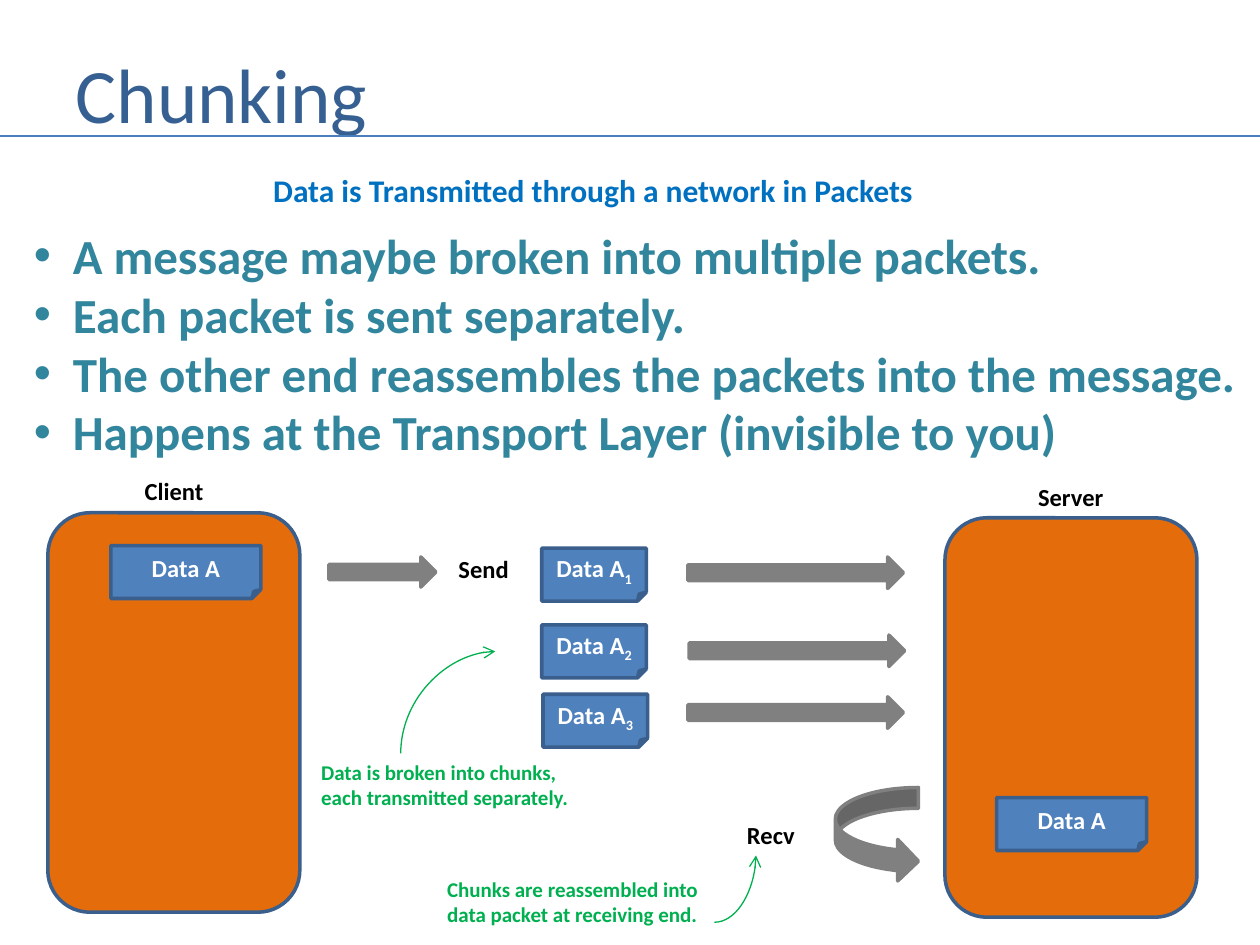
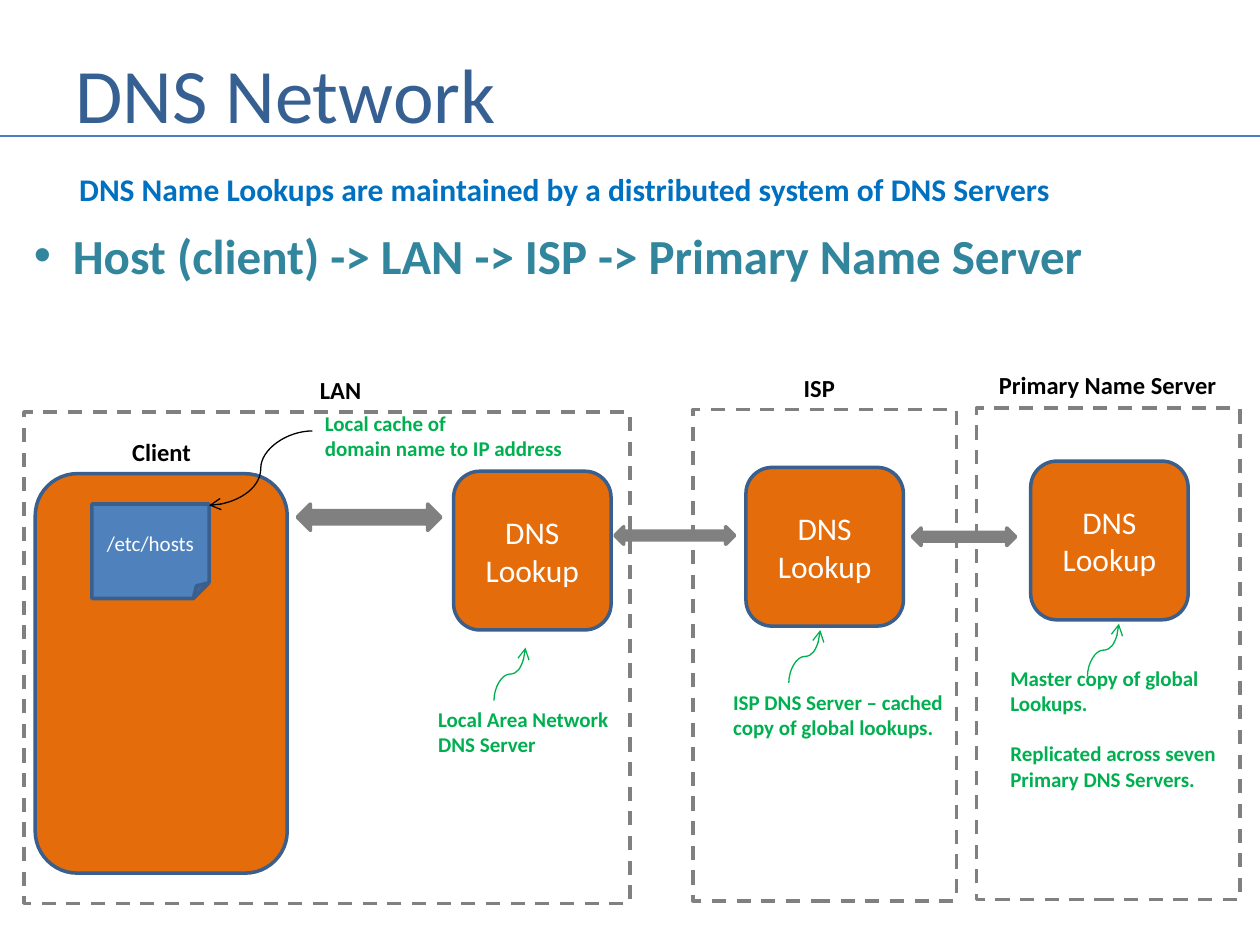
from dataclasses import dataclass
from typing import NamedTuple

import pptx
import pptx.dml.color
import pptx.enum.dml
import pptx.enum.shapes
import pptx.enum.text
import pptx.oxml
import pptx.oxml.ns
import pptx.util
from pptx.presentation import Presentation
from pptx.shapes.autoshape import Shape
from pptx.slide import Slide
from pptx.text.text import TextFrame

SHAPES = pptx.enum.shapes.MSO_SHAPE
CONNECTORS = pptx.enum.shapes.MSO_CONNECTOR
ALIGN = pptx.enum.text.PP_ALIGN
ANCHOR = pptx.enum.text.MSO_ANCHOR

FONT = "Calibri"
TITLE_BLUE, RULE_BLUE, SUBTITLE_BLUE = "376092", "4B7EBC", "0070C0"
TEAL, GREEN, ORANGE = "31859C", "00B050", "E46C0A"
PACKET_BLUE, OUTLINE_BLUE, GRAY = "4F81BD", "3A5F8C", "808080"
BLACK, WHITE = "000000", "FFFFFF"

COLUMNS, ROWS = 100, 75
SLIDE_WIDTH, SLIDE_HEIGHT = pptx.util.Inches(10), pptx.util.Inches(7.5)
RULE_ROW = 10.8
TITLE_ONLY = 5
MACHINE_SIZE = (20, 31.7)
LOOKUP_SIZE = (12.5, 12.6)


class Point(NamedTuple):
    column: float
    row: float


class Area(NamedTuple):
    column: float
    row: float
    columns: float
    rows: float


@dataclass(frozen=True)
class Chunk:
    number: str
    packet: Point
    arrow: Point


@dataclass(frozen=True)
class Zone:
    title: str
    title_area: Area
    frame: Area
    lookup: Point
    remarks: list[str]
    remark_area: Area
    pointer: Point


CHUNKS = [
    Chunk("1", Point(43, 43.5), Point(54.6, 44.2)),
    Chunk("2", Point(43, 49.6), Point(54.7, 50.4)),
    Chunk("3", Point(43.1, 55.1), Point(54.6, 55.3)),
]

ZONES = [
    Zone("LAN", Area(24.4, 29.3, 5.3, 3.4), Area(1.9, 32.7, 48.1, 39),
         Point(36, 37.4), ["Local Area Network", "DNS Server"],
         Area(33.8, 55.6, 15.7, 5), Point(39.2, 55.6)),
    Zone("ISP", Area(62.8, 29.1, 4.5, 3.4), Area(55, 32.5, 20.9, 39),
         Point(59.2, 37.1), ["ISP DNS Server – cached", "copy of global lookups."],
         Area(57.2, 54.2, 18.8, 5), Point(62.6, 54.2)),
    Zone("Primary Name Server", Area(78.3, 28.9, 19.4, 3.4), Area(77.5, 32.4, 20.9, 39),
         Point(81.8, 36.6), ["Master copy of global", "Lookups.",
                             "Replicated across seven", "Primary DNS Servers."],
         Area(79.2, 52.3, 18.5, 11.1), Point(86.3, 53.7)),
]


def rgb(color: str) -> pptx.dml.color.RGBColor:
    return pptx.dml.color.RGBColor.from_string(color)


def across(columns: float) -> int:
    return round(SLIDE_WIDTH * columns / COLUMNS)


def down(rows: float) -> int:
    return round(SLIDE_HEIGHT * rows / ROWS)


def place(area: Area) -> tuple[int, int, int, int]:
    return across(area.column), down(area.row), across(area.columns), down(area.rows)


def write_text(frame: TextFrame, lines: list[str], *, size: float, color: str,
               bold: bool = False, align: ALIGN = ALIGN.LEFT,
               bullet: bool = False, subscript: str = "") -> None:
    for index, line in enumerate(lines):
        paragraph = frame.paragraphs[0] if index == 0 else frame.add_paragraph()
        paragraph.text = line
        paragraph.alignment = align
        if subscript:
            run = paragraph.add_run()
            run.text = subscript
            run.font._element.set("baseline", "-25000")
        if bullet:
            properties = paragraph._p.get_or_add_pPr()
            indent = pptx.util.Inches(0.31)
            properties.set("marL", str(indent))
            properties.set("indent", str(-indent))
            properties.append(pptx.oxml.parse_xml(
                f'<a:buFont {pptx.oxml.ns.nsdecls("a")} typeface="Arial"/>'))
            properties.append(pptx.oxml.parse_xml(
                f'<a:buChar {pptx.oxml.ns.nsdecls("a")} char="•"/>'))
        for run in paragraph.runs:
            run.font.name = FONT
            run.font.size = pptx.util.Pt(size)
            run.font.bold = bold
            run.font.color.rgb = rgb(color)


def add_text(slide: Slide, area: Area, lines: list[str], *, size: float = 14,
             color: str = BLACK, bullet: bool = False) -> TextFrame:
    frame = slide.shapes.add_textbox(*place(area)).text_frame
    frame.word_wrap = False
    frame.auto_size = pptx.enum.text.MSO_AUTO_SIZE.SHAPE_TO_FIT_TEXT
    write_text(frame, lines, size=size, color=color, bold=True, bullet=bullet)
    return frame


def add_remark(slide: Slide, area: Area, lines: list[str]) -> TextFrame:
    return add_text(slide, area, lines, size=12, color=GREEN)


def add_shape(slide: Slide, kind: SHAPES, area: Area, *, fill: str | None,
              outline: str) -> Shape:
    shape = slide.shapes.add_shape(kind, *place(area))
    shape.shadow.inherit = False
    if fill:
        shape.fill.solid()
        shape.fill.fore_color.rgb = rgb(fill)
    else:
        shape.fill.background()
    shape.line.color.rgb = rgb(outline)
    shape.line.width = pptx.util.Pt(2)
    shape.text_frame.vertical_anchor = ANCHOR.MIDDLE
    return shape


def add_arrow(slide: Slide, kind: SHAPES, area: Area) -> None:
    add_shape(slide, kind, area, fill=GRAY, outline=GRAY)


def add_machine(slide: Slide, corner: Point, label: str, label_area: Area) -> None:
    add_shape(slide, SHAPES.ROUNDED_RECTANGLE, Area(*corner, *MACHINE_SIZE),
              fill=ORANGE, outline=OUTLINE_BLUE)
    add_text(slide, label_area, [label])


def add_client(slide: Slide, corner: Point) -> None:
    add_machine(slide, corner, "Client",
                Area(corner.column + 6.7, corner.row - 3.4, 6.7, 3.4))


def add_packet(slide: Slide, area: Area, text: str, *, size: float = 14,
               bold: bool = True, subscript: str = "") -> None:
    packet = add_shape(slide, SHAPES.FOLDED_CORNER, area,
                       fill=PACKET_BLUE, outline=OUTLINE_BLUE)
    write_text(packet.text_frame, [text], size=size, color=WHITE, bold=bold,
               align=ALIGN.CENTER, subscript=subscript)


def add_connector(slide: Slide, kind: CONNECTORS, start: Point, end: Point, *,
                  color: str, width: float):
    connector = slide.shapes.add_connector(
        kind, across(start.column), down(start.row), across(end.column), down(end.row))
    connector.line.color.rgb = rgb(color)
    connector.line.width = pptx.util.Pt(width)
    connector._element.spPr.append(
        pptx.oxml.parse_xml(f'<a:effectLst {pptx.oxml.ns.nsdecls("a")}/>'))
    return connector


def add_curve(slide: Slide, start: Point, end: Point, *, color: str = GREEN,
              upward: bool = False, quarter: bool = False) -> None:
    if upward:
        middle = Point((start.column + end.column) / 2, (start.row + end.row) / 2)
        half_run = (end.column - start.column) / 2
        half_rise = (start.row - end.row) / 2
        start = Point(middle.column + half_rise, middle.row + half_run)
        end = Point(middle.column - half_rise, middle.row - half_run)
    connector = add_connector(slide, CONNECTORS.CURVE, start, end, color=color, width=0.75)
    properties = connector._element.spPr
    if upward:
        properties.find(pptx.oxml.ns.qn("a:xfrm")).set("rot", "5400000")
    if quarter:
        properties.find(pptx.oxml.ns.qn("a:prstGeom")).set("prst", "curvedConnector2")
    properties.find(pptx.oxml.ns.qn("a:ln")).append(
        pptx.oxml.parse_xml(f'<a:tailEnd {pptx.oxml.ns.nsdecls("a")} type="arrow"/>'))


def add_topic_slide(presentation: Presentation, title: str, subtitle: str,
                    subtitle_area: Area, bullets: list[str], bullet_columns: float) -> Slide:
    slide = presentation.slides.add_slide(presentation.slide_layouts[TITLE_ONLY])
    heading = slide.shapes.title
    heading.left, heading.top, heading.width, heading.height = place(Area(5, 3, 90.8, 8.7))
    heading.text_frame.vertical_anchor = ANCHOR.MIDDLE
    write_text(heading.text_frame, [title], size=44, color=TITLE_BLUE)
    add_connector(slide, CONNECTORS.STRAIGHT, Point(0, RULE_ROW), Point(COLUMNS, RULE_ROW),
                  color=RULE_BLUE, width=1.5)
    add_text(slide, Area(1.7, 17.4, bullet_columns, 1 + 4.7 * len(bullets)), bullets,
             size=28, color=TEAL, bullet=True)
    add_text(slide, subtitle_area, [subtitle], size=18, color=SUBTITLE_BLUE)
    return slide


def build_chunking(presentation: Presentation) -> None:
    slide = add_topic_slide(
        presentation, "Chunking", "Data is Transmitted through a network in Packets",
        Area(20.7, 13.1, 53.3, 4),
        ["A message maybe broken into multiple packets.",
         "Each packet is sent separately.",
         "The other end reassembles the packets into the message.",
         "Happens at the Transport Layer (invisible to you)"], 98.5)
    add_client(slide, Point(3.8, 40.7))
    add_machine(slide, Point(75, 41.1), "Server", Area(81.4, 37.8, 7.2, 3.4))
    for corner in (Point(8.8, 43.3), Point(79.1, 63.3)):
        add_packet(slide, Area(*corner, 11.9, 4.2), "Data A")
    add_arrow(slide, SHAPES.RIGHT_ARROW, Area(26.1, 44.2, 8.5, 2.4))
    add_text(slide, Area(35.4, 43.5, 6, 3.4), ["Send"])
    for chunk in CHUNKS:
        add_packet(slide, Area(*chunk.packet, 8.3, 4.2), "Data A", subscript=chunk.number)
        add_arrow(slide, SHAPES.RIGHT_ARROW, Area(*chunk.arrow, 17.1, 2.5))
    add_arrow(slide, SHAPES.CURVED_RIGHT_ARROW, Area(66.3, 62.5, 6.6, 7.5))
    add_text(slide, Area(58.3, 64.6, 5.8, 3.4), ["Recv"])
    add_remark(slide, Area(24.5, 59.8, 21.8, 5),
               ["Data is broken into chunks,", "each transmitted separately."])
    add_curve(slide, Point(31.8, 59.8), Point(39.3, 51.7), upward=True, quarter=True)
    add_remark(slide, Area(34.5, 69.1, 22.2, 5),
               ["Chunks are reassembled into", "data packet at receiving end."])
    add_curve(slide, Point(56.7, 73.2), Point(60, 67.9), quarter=True)


def add_zone(slide: Slide, zone: Zone) -> None:
    lookup = add_shape(slide, SHAPES.ROUNDED_RECTANGLE, Area(*zone.lookup, *LOOKUP_SIZE),
                       fill=ORANGE, outline=OUTLINE_BLUE)
    write_text(lookup.text_frame, ["DNS\vLookup"], size=18, color=WHITE, align=ALIGN.CENTER)
    frame = add_shape(slide, SHAPES.RECTANGLE, zone.frame, fill=None, outline=GRAY)
    frame.line.dash_style = pptx.enum.dml.MSO_LINE.DASH
    add_text(slide, zone.title_area, [zone.title])
    remark = add_remark(slide, zone.remark_area, zone.remarks)
    for paragraph in remark.paragraphs[2:3]:
        paragraph.space_before = pptx.util.Pt(14.5)
    add_curve(slide, zone.pointer,
              Point(zone.pointer.column + 2.5, zone.pointer.row - 4.2), upward=True)


def build_dns_network(presentation: Presentation) -> None:
    slide = add_topic_slide(
        presentation, "DNS Network",
        "DNS Name Lookups are maintained by a distributed system of DNS Servers",
        Area(5.3, 13, 79.8, 4),
        ["Host (client) -> LAN -> ISP -> Primary Name Server"], 86.3)
    add_client(slide, Point(2.8, 37.6))
    add_packet(slide, Area(7.3, 40, 9.3, 7.5), "/etc/hosts", size=12, bold=False)
    for zone in ZONES:
        add_zone(slide, zone)
    add_remark(slide, Area(24.8, 32.1, 21.2, 5),
               ["Local cache of", "domain name to IP address"])
    add_curve(slide, Point(24.8, 34.2), Point(16.6, 40.1), color=BLACK)
    for area in (Area(23.6, 40, 11.4, 2.1), Area(48.8, 41.8, 9.5, 1.4),
                 Area(72.4, 41.9, 8.2, 1.4)):
        add_arrow(slide, SHAPES.LEFT_RIGHT_ARROW, area)


def main() -> None:
    presentation = pptx.Presentation()
    presentation.slide_width, presentation.slide_height = SLIDE_WIDTH, SLIDE_HEIGHT
    build_chunking(presentation)
    build_dns_network(presentation)
    presentation.save("out.pptx")


if __name__ == "__main__":
    main()
